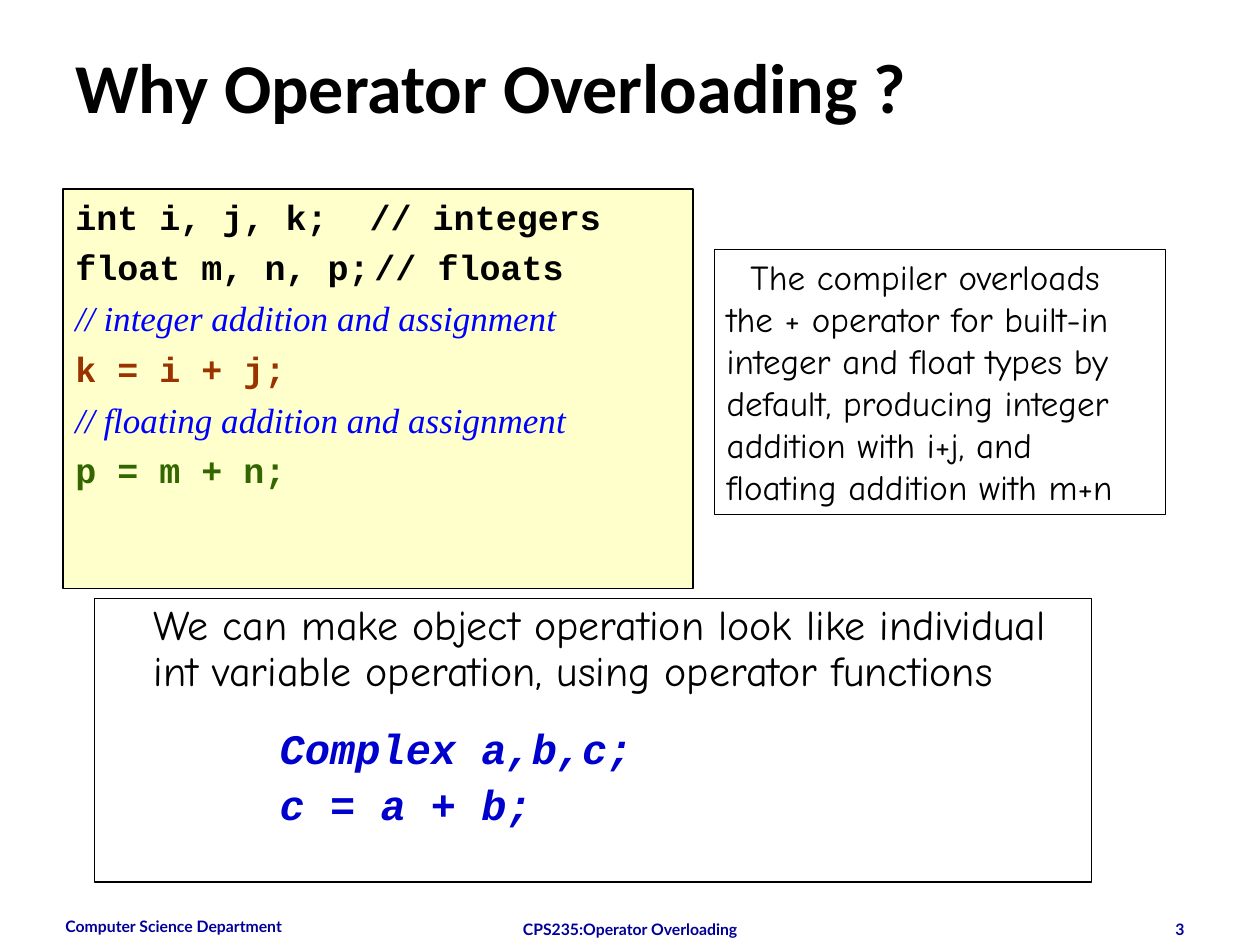
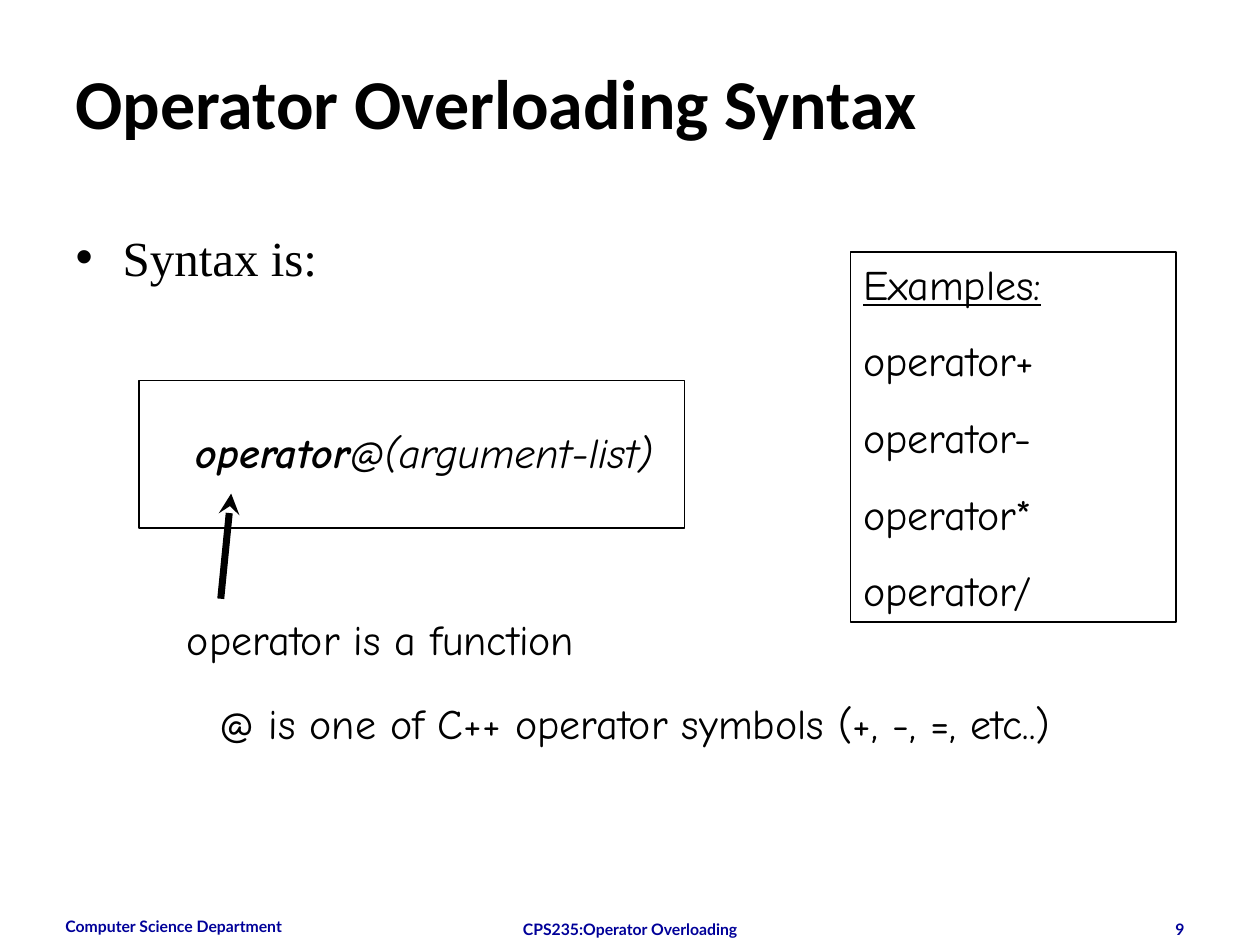
from dataclasses import dataclass
from typing import Optional

from lxml.etree import SubElement
from pptx import Presentation
from pptx.dml.color import RGBColor
from pptx.enum.shapes import MSO_CONNECTOR, MSO_SHAPE
from pptx.enum.text import MSO_ANCHOR, MSO_AUTO_SIZE, PP_ALIGN
from pptx.oxml.ns import qn
from pptx.util import Cm, Pt

BLACK = RGBColor(0x00, 0x00, 0x00)
NAVY = RGBColor(0x00, 0x00, 0x99)
CREAM = RGBColor(0xFF, 0xFF, 0xCC)
COMMENT_BLUE = RGBColor(0x00, 0x00, 0xFF)
CODE_BLUE = RGBColor(0x00, 0x00, 0xCC)
RUST = RGBColor(0x99, 0x33, 0x00)
GREEN = RGBColor(0x33, 0x66, 0x00)

HANGING = 0.95
TAB_STEP = 2.54
TITLE_ONLY, TITLE_AND_BODY = 5, 1


@dataclass(frozen=True)
class Style:
    name: str
    size: float
    color: RGBColor = BLACK
    bold: bool = False
    italic: bool = False
    underline: bool = False


@dataclass(frozen=True)
class Span:
    text: str
    style: Style


@dataclass(frozen=True)
class Para:
    spans: tuple[Span, ...]
    align: PP_ALIGN = PP_ALIGN.LEFT
    before: float = 0
    spacing: float = 1.0
    left: float = 0
    first: float = 0
    tab: Optional[float] = None
    bullet: str = ""


@dataclass(frozen=True)
class Area:
    left: float
    top: float
    width: float
    height: float

    def lengths(self) -> tuple[Cm, Cm, Cm, Cm]:
        return Cm(self.left), Cm(self.top), Cm(self.width), Cm(self.height)


TITLE = Style("Calibri", 40, bold=True)
FOOTER = Style("Lato", 9, NAVY, bold=True)
BODY = Style("Times New Roman", 28)
NOTE = Style("Comic Neue", 20)
LABEL = Style("Comic Neue", 24)
HEADING = Style("Comic Neue", 24, underline=True)
SYNTAX = Style("Comic Neue", 24, italic=True)
KEYWORD = Style("Comic Neue", 24, bold=True, italic=True)
CODE = Style("Courier New", 20, bold=True)
INT_CODE = Style("Courier New", 20, RUST, bold=True)
FLOAT_CODE = Style("Courier New", 20, GREEN, bold=True)
COMMENT = Style("Times New Roman", 20, COMMENT_BLUE, italic=True)
OBJECT_CODE = Style("Courier New", 24, CODE_BLUE, bold=True, italic=True)


def line_of(text: str, style: Style, **layout) -> Para:
    return Para((Span(text, style),), **layout)


def apply(target, values: dict) -> None:
    for name, value in values.items():
        setattr(target, name, value)


def write_para(para, content: Para) -> None:
    properties = para._p.get_or_add_pPr()
    properties.set("marL", str(Cm(content.left)))
    properties.set("indent", str(Cm(content.first)))
    if content.bullet:
        SubElement(properties, qn("a:buFont"), typeface="Arial")
        SubElement(properties, qn("a:buChar"), char=content.bullet)
    else:
        SubElement(properties, qn("a:buNone"))
    if content.tab is not None:
        tabs = SubElement(properties, qn("a:tabLst"))
        SubElement(tabs, qn("a:tab"), pos=str(Cm(content.tab)), algn="l")
    apply(para, {
        "alignment": content.align,
        "space_before": Pt(content.before),
        "line_spacing": content.spacing,
    })
    for item in content.spans:
        span = para.add_run()
        span.text = item.text
        apply(span.font, {
            "name": item.style.name,
            "size": Pt(item.style.size),
            "bold": item.style.bold,
            "italic": item.style.italic,
            "underline": item.style.underline,
        })
        span.font.color.rgb = item.style.color


def write_text(box, paras: list[Para], wrap: bool = True) -> None:
    frame = box.text_frame
    apply(frame, {
        "word_wrap": wrap,
        "auto_size": MSO_AUTO_SIZE.NONE if wrap else MSO_AUTO_SIZE.SHAPE_TO_FIT_TEXT,
        "vertical_anchor": MSO_ANCHOR.TOP,
    })
    for index, content in enumerate(paras):
        para = frame.add_paragraph() if index else frame.paragraphs[0]
        write_para(para, content)


def add_text(page, area: Area, paras: list[Para], wrap: bool = True) -> None:
    write_text(page.shapes.add_textbox(*area.lengths()), paras, wrap)


def add_frame(page, area: Area, paras: list[Para],
              fill: Optional[RGBColor] = None, weight: float = 0.75) -> None:
    box = page.shapes.add_shape(MSO_SHAPE.RECTANGLE, *area.lengths())
    box.shadow.inherit = False
    if fill is None:
        box.fill.background()
    else:
        box.fill.solid()
        box.fill.fore_color.rgb = fill
    box.line.color.rgb = BLACK
    box.line.width = Pt(weight)
    write_text(box, paras)


def fill_placeholder(holder, area: Area, paras: list[Para]) -> None:
    apply(holder, dict(zip(("left", "top", "width", "height"), area.lengths())))
    write_text(holder, paras)


def add_arrow(page, start: tuple[float, float], end: tuple[float, float]) -> None:
    arrow = page.shapes.add_connector(
        MSO_CONNECTOR.STRAIGHT, *(Cm(value) for value in start + end))
    arrow.line.color.rgb = BLACK
    arrow.line.width = Pt(4)
    SubElement(arrow.line._get_or_add_ln(), qn("a:tailEnd"), type="stealth")
    SubElement(arrow._element.spPr, qn("a:effectLst"))


def add_page(deck, layout: int, title: str, title_area: Area, number: int):
    page = deck.slides.add_slide(deck.slide_layouts[layout])
    fill_placeholder(page.shapes.title, title_area, [line_of(title, TITLE)])
    footers = (
        ("Computer Science Department", Area(1.07, 18.36, 5.92, 0.69), PP_ALIGN.LEFT),
        ("CPS235:Operator Overloading", Area(8.68, 18.42, 8.04, 0.25), PP_ALIGN.CENTER),
        (str(number), Area(18.2, 18.42, 5.93, 0.25), PP_ALIGN.RIGHT),
    )
    for text, area, align in footers:
        add_text(page, area, [line_of(text, FOOTER, align=align)])
    return page


def build_reasons(deck) -> None:
    page = add_page(deck, TITLE_ONLY, "Why Operator Overloading ?",
                    Area(1.27, 0.76, 22.86, 1.98), 3)

    # Built-in type code
    code_lines = (
        ("int i, j, k;  // integers", CODE),
        ("float m, n, p;\t// floats", CODE),
        ("// integer addition and assignment", COMMENT),
        ("k = i + j;", INT_CODE),
        ("// floating addition and assignment", COMMENT),
        ("p = m + n;", FLOAT_CODE),
    )
    code = [
        line_of(text, style, before=5 if index else 0, left=HANGING,
                first=-HANGING, tab=2 * TAB_STEP)
        for index, (text, style) in enumerate(code_lines)
    ]
    add_frame(page, Area(1.27, 3.81, 12.7, 8.05), code, fill=CREAM)

    # Compiler remark
    add_frame(page, Area(14.4, 5.03, 9.1, 5.34), [line_of(
        "The compiler overloads the + operator for built-in integer and float "
        "types by default, producing integer addition with i+j, and floating "
        "addition with m+n", NOTE, first=0.48)])

    # Object operations
    code_left = HANGING + TAB_STEP
    add_frame(page, Area(1.9, 12.06, 20.11, 5.72), [
        line_of("We can make object operation look like individual int variable "
                "operation, using operator functions", LABEL,
                left=HANGING, spacing=0.9),
        line_of("Complex a,b,c;", OBJECT_CODE, left=code_left, before=19, spacing=0.9),
        line_of("c = a + b;", OBJECT_CODE, left=code_left, before=6, spacing=0.9),
    ])


def build_syntax(deck) -> None:
    page = add_page(deck, TITLE_AND_BODY, "Operator Overloading Syntax",
                    Area(1.27, 1.07, 21.59, 3.18), 9)
    fill_placeholder(page.placeholders[1], Area(1.27, 4.45, 22.86, 12.57), [
        line_of("Syntax is:", BODY, left=HANGING, first=-HANGING, bullet="•")])

    # Syntax form
    add_text(page, Area(3.7, 8.47, 9.78, 1.28), [Para((
        Span("operator", KEYWORD), Span("@(argument-list)", SYNTAX)))], wrap=False)
    add_frame(page, Area(2.8, 7.67, 11, 2.97), [], weight=1)

    # Explanations
    add_text(page, Area(3.52, 12.24, 8.37, 1.28),
             [line_of("operator is a function", LABEL)], wrap=False)
    add_arrow(page, (4.45, 12.07), (4.66, 9.95))
    add_text(page, Area(4.18, 13.93, 17.32, 1.28),
             [line_of("@ is one of C++ operator symbols (+, -, =, etc..)", LABEL)],
             wrap=False)

    # Examples
    examples = [line_of("Examples:", HEADING)]
    examples += [line_of(f"operator{symbol}", LABEL, before=15) for symbol in "+-*/"]
    add_frame(page, Area(17.15, 5.08, 6.56, 7.46), examples)


def main() -> None:
    deck = Presentation()
    deck.slide_width, deck.slide_height = Cm(25.4), Cm(19.05)
    build_reasons(deck)
    build_syntax(deck)
    deck.save("out.pptx")


if __name__ == "__main__":
    main()
